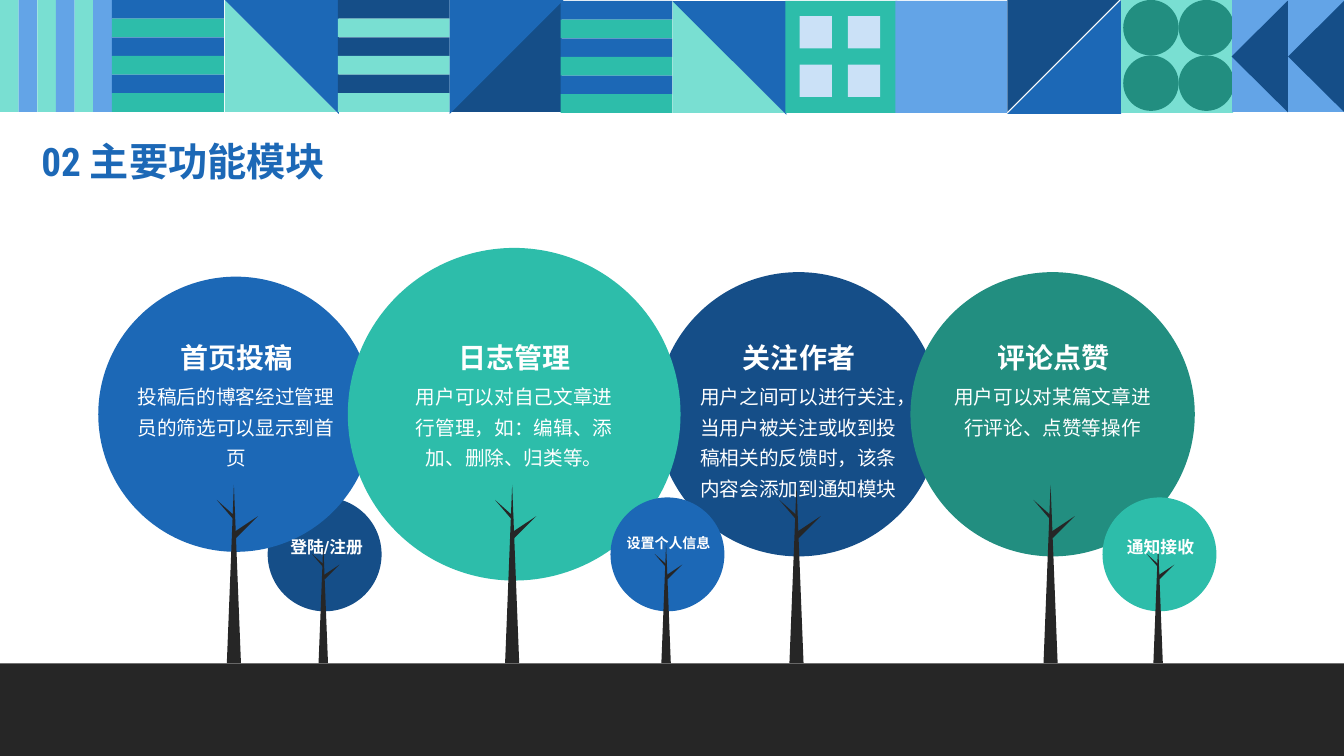
from lxml import etree
from pptx import Presentation
from pptx.dml.color import RGBColor
from pptx.enum.shapes import MSO_SHAPE
from pptx.enum.text import MSO_ANCHOR, MSO_AUTO_SIZE, PP_ALIGN
from pptx.oxml.ns import qn
from pptx.util import Inches, Pt

RECTANGLE = MSO_SHAPE.RECTANGLE
OVAL = MSO_SHAPE.OVAL
TRIANGLE = MSO_SHAPE.ISOSCELES_TRIANGLE
RIGHT_TRIANGLE = MSO_SHAPE.RIGHT_TRIANGLE
LEFT, CENTER = PP_ALIGN.LEFT, PP_ALIGN.CENTER
MIDDLE = MSO_ANCHOR.MIDDLE
NO_FIT, GROW = MSO_AUTO_SIZE.NONE, MSO_AUTO_SIZE.SHAPE_TO_FIT_TEXT

BLUE = RGBColor(0x1C, 0x68, 0xB6)
NAVY = RGBColor(0x15, 0x4E, 0x88)
SKY = RGBColor(0x63, 0xA4, 0xE7)
PALE = RGBColor(0xCB, 0xE1, 0xF7)
TEAL = RGBColor(0x2D, 0xBD, 0xAA)
MINT = RGBColor(0x79, 0xDF, 0xD2)
GREEN = RGBColor(0x22, 0x8E, 0x80)
DARK = RGBColor(0x26, 0x26, 0x26)
WHITE = RGBColor(0xFF, 0xFF, 0xFF)

HEADING_FONT = "Roboto Condensed"
BODY_FONT = "Noto Sans CJK SC"

TILE = 1.11
GROUND_TOP = 6.58
# Trunk and branches of a full-size tree, from the trunk's top left corner
TRUNK_WIDTH, TRUNK_HEIGHT = 0.14, 1.77
BRANCHES = [
    [(0.07, 0.47), (0.31, 0.31), (0.09, 0.53)],
    [(0.08, 0.31), (-0.10, 0.15), (0.08, 0.36)],
]
SMALL = 0.67


class SlideBuilder:
    def __init__(self, slide):
        self.slide = slide
        self.shapes = slide.shapes

    def start_group(self):
        self.shapes = self.slide.shapes.add_group_shape().shapes

    def end_group(self):
        self.shapes = self.slide.shapes

    def paint(self, shape, color):
        shape.shadow.inherit = False
        shape.fill.solid()
        shape.fill.fore_color.rgb = color
        shape.line.fill.background()

    def shape(self, kind, left, top, width, height, color, rotation=0):
        shape = self.shapes.add_shape(
            kind, Inches(left), Inches(top), Inches(width), Inches(height))
        shape.rotation = rotation
        self.paint(shape, color)

    def polygon(self, points, color):
        corners = [(Inches(x), Inches(y)) for x, y in points]
        builder = self.shapes.build_freeform(*corners[0])
        builder.add_line_segments(corners[1:], close=True)
        self.paint(builder.convert_to_shape(), color)

    def fill_text(self, frame, text, size, color, font, bold, align, spacing):
        paragraph = frame.paragraphs[0]
        paragraph.text = text
        paragraph.alignment = align
        paragraph.line_spacing = spacing
        paragraph.font.size = Pt(size)
        paragraph.font.bold = bold
        paragraph.font.color.rgb = color
        paragraph.font.name = font
        # East Asian typeface
        properties = paragraph._p.pPr.find(qn("a:defRPr"))
        etree.SubElement(properties, qn("a:ea")).set("typeface", BODY_FONT)
        return paragraph

    def title(self, text, left, top, width, height):
        title = self.slide.shapes.title
        title.left, title.top = Inches(left), Inches(top)
        title.width, title.height = Inches(width), Inches(height)
        frame = title.text_frame
        frame.auto_size = NO_FIT
        frame.vertical_anchor = MIDDLE
        paragraph = self.fill_text(frame, text, 28, BLUE, HEADING_FONT, True, LEFT, 0.9)
        paragraph.space_before = Pt(10)

    def text(self, text, left, top, width, height, size, font=HEADING_FONT,
             bold=True, spacing=1.5, wrap=True):
        box = self.shapes.add_textbox(
            Inches(left), Inches(top), Inches(width), Inches(height))
        frame = box.text_frame
        frame.word_wrap = wrap
        frame.auto_size = GROW
        self.fill_text(frame, text, size, WHITE, font, bold, CENTER, spacing)

    def stripes(self, left, top, colors, vertical=False):
        step = TILE / 6
        for index in range(6):
            color = colors[index % 2]
            if vertical:
                self.shape(RECTANGLE, left + index * step, top, step, TILE, color)
            else:
                self.shape(RECTANGLE, left, top + index * step, TILE, step, color)

    def diagonal(self, left, top, first, second, rotation):
        self.shape(RIGHT_TRIANGLE, left, top, TILE, TILE, first, rotation)
        self.shape(RIGHT_TRIANGLE, left, top, 1.13, 1.13, second, (rotation + 180) % 360)

    def dots(self, kind, left, top, size, step, color):
        for row in range(2):
            for column in range(2):
                self.shape(kind, left + column * step, top + row * step, size, size, color)

    def tree(self, center_x, center_y, diameter, color, scale=1.0):
        self.shape(OVAL, center_x - diameter / 2, center_y - diameter / 2,
                   diameter, diameter, color)
        left = center_x - 0.09 * scale
        height = TRUNK_HEIGHT * scale
        top = GROUND_TOP - height
        self.shape(TRIANGLE, left, top, TRUNK_WIDTH * scale, height, DARK)
        for branch in BRANCHES:
            self.polygon([(left + x * scale, top + y * scale) for x, y in branch], DARK)

    def module_tree(self, center_x, diameter, color, heading, body):
        self.start_group()
        self.tree(center_x, 4.11, diameter, color)
        self.text(body, center_x - 1.11, 3.7, 2.22, 1.32, 14, BODY_FONT, False, 1.3)
        self.text(heading, center_x - 0.65, 3.16, 1.31, 0.6, 20, wrap=False)
        self.end_group()

    def small_tree(self, center_x, color):
        self.start_group()
        self.tree(center_x, 5.5, 1.13, color, SMALL)
        self.end_group()


def draw_header(builder):
    builder.stripes(0, 0, (MINT, SKY), vertical=True)
    builder.stripes(1.11, 0, (BLUE, TEAL))
    builder.diagonal(2.23, 0, MINT, BLUE, 0)
    builder.stripes(3.35, 0, (NAVY, MINT))
    builder.diagonal(4.46, 0, NAVY, BLUE, 270)
    builder.stripes(5.56, 0.01, (BLUE, TEAL))
    builder.diagonal(6.67, 0.01, MINT, BLUE, 0)
    # Window tile and plain tile
    builder.shape(RECTANGLE, 7.79, 0.01, TILE, TILE, TEAL)
    builder.dots(RECTANGLE, 7.93, 0.16, 0.32, 0.48, PALE)
    builder.shape(RECTANGLE, 8.88, 0.01, TILE, TILE, SKY)
    builder.diagonal(9.99, 0, NAVY, BLUE, 90)
    # Circle tile
    builder.shape(RECTANGLE, 11.12, 0, TILE, 1.12, MINT)
    builder.dots(OVAL, 11.14, 0, 0.55, 0.55, GREEN)
    # Arrow tile
    builder.shape(RECTANGLE, 12.22, 0, TILE, TILE, SKY)
    for left in (11.94, 12.5):
        builder.shape(TRIANGLE, left, 0.28, TILE, 0.56, NAVY, 270)


def main():
    presentation = Presentation()
    presentation.slide_width = Inches(13.33)
    presentation.slide_height = Inches(7.5)
    builder = SlideBuilder(presentation.slides.add_slide(presentation.slide_layouts[5]))

    draw_header(builder)
    builder.title("02 主要功能模块", 0.31, 1.31, 3.84, 0.63)

    # Trees, from back to front
    builder.small_tree(3.22, NAVY)
    modules = [
        (7.92, 2.82, NAVY, "关注作者",
         "用户之间可以进行关注，当用户被关注或收到投稿相关的反馈时，该条内容会添加到通知模块"),
        (2.34, 2.73, BLUE, "首页投稿", "投稿后的博客经过管理员的筛选可以显示到首页"),
        (5.10, 3.3, TEAL, "日志管理", "用户可以对自己文章进行管理，如：编辑、添加、删除、归类等。"),
        (10.44, 2.82, GREEN, "评论点赞", "用户可以对某篇文章进行评论、点赞等操作"),
    ]
    for module in modules:
        builder.module_tree(*module)
    builder.small_tree(11.5, TEAL)
    builder.small_tree(6.62, BLUE)

    # Ground and labels of the small trees
    builder.shape(RECTANGLE, 0, GROUND_TOP, 13.33, 0.92, DARK)
    builder.text("登陆/注册", 2.77, 5.18, 0.94, 0.4, 12)
    builder.text("设置个人信息", 5.97, 5.17, 1.32, 0.35, 10)
    builder.text("通知接收", 11.04, 5.18, 0.94, 0.4, 12)

    presentation.save("out.pptx")


if __name__ == "__main__":
    main()
